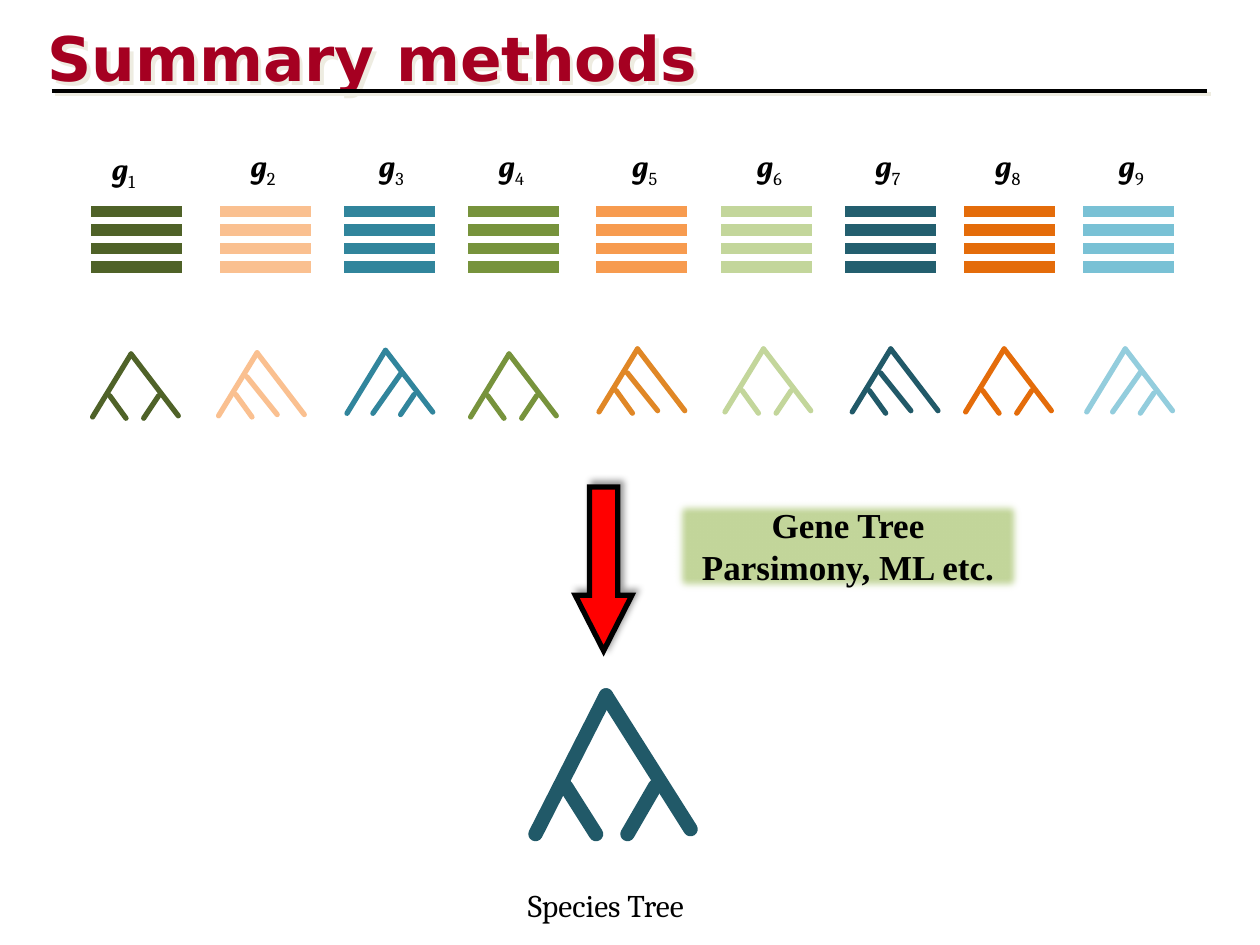
from dataclasses import dataclass
from lxml.etree import SubElement
from pptx import Presentation
from pptx.dml.color import RGBColor
from pptx.enum.shapes import MSO_CONNECTOR, MSO_SHAPE
from pptx.enum.text import MSO_ANCHOR, MSO_AUTO_SIZE, PP_ALIGN
from pptx.oxml import parse_xml
from pptx.oxml.ns import nsdecls, qn
from pptx.util import Pt


@dataclass(frozen=True)
class Theme:
    black: str = "000000"
    white: str = "FFFFFF"
    title: str = "A50021"
    title_shadow: str = "EEECE1"
    arrow: str = "FF0000"
    method: str = "C3D69B"
    species: str = "215968"
    title_size: float = 35.1
    method_size: float = 20
    label_size: float = 18


theme = Theme()
deck = Presentation()
deck.slide_width, deck.slide_height = Pt(720), Pt(540)
page = deck.slides.add_slide(deck.slide_layouts[6])


def add_text(left, top, width, height, pieces):
    box = page.shapes.add_textbox(Pt(left), Pt(top), Pt(width), Pt(height))
    frame = box.text_frame
    frame.word_wrap = True
    frame.auto_size = MSO_AUTO_SIZE.SHAPE_TO_FIT_TEXT
    for text, size, color, formats in pieces:
        span = frame.paragraphs[0].add_run()
        span.text = text
        span.font.size = Pt(size)
        span.font.color.rgb = RGBColor.from_string(color)
        for name, value in formats.items():
            setattr(span.font, name, value)
    return box


def add_line(shapes, start, end, color, weight, cap="rnd"):
    line = shapes.add_connector(
        MSO_CONNECTOR.STRAIGHT, Pt(start[0]), Pt(start[1]), Pt(end[0]), Pt(end[1])
    )
    line.line.color.rgb = RGBColor.from_string(color)
    line.line.width = Pt(weight)
    line.line._get_or_add_ln().set("cap", cap)
    SubElement(line._element.spPr, qn("a:effectLst"))
    return line


left_side, right_side = ((0, 0), (-22, 36)), ((0, 0), (27, 35.3))
left_twig, right_twig = ((-12.2, 23.8), (-2.9, 36.7)), ((15.8, 23.8), (7.2, 36.7))
branches = {
    "balanced": [left_side, left_twig, right_side, right_twig],
    "left": [left_side, left_twig, right_side, ((-5.8, 13.7), (11.5, 35.3))],
    "right": [left_side, right_side, ((8.6, 13.5), (-7.2, 36)), ((16.4, 25.2), (8.6, 36.7))],
}
genes = [
    (51.1, "4F6228", 56.9, "balanced", "4F6228", (74.9, 202.3)),
    (124.6, "FAC090", 136.1, "left", "FAC090", (146.9, 201.6)),
    (195.8, "31859C", 209.5, "right", "31859C", (220.3, 200.2)),
    (266.4, "77933C", 277.9, "balanced", "77933C", (290.9, 202.3)),
    (339.8, "F79B4F", 354.2, "left", "E08726", (364.3, 199.4)),
    (411.1, "C3D69B", 425.5, "balanced", "C3D69B", (436.3, 199.4)),
    (481.7, "235F6F", 493.2, "left", "215968", (509, 199.4)),
    (550.1, "E46C0A", 561.6, "balanced", "E46C0A", (573.8, 199.4)),
    (617.8, "79C1D5", 632.2, "right", "93CDDD", (643, 199.4)),
]

for number, (bar_left, bar_color, label_left, form, tree_color, apex) in enumerate(genes, 1):
    alignment = page.shapes.add_group_shape()
    for row in range(4):
        bar = alignment.shapes.add_shape(
            MSO_SHAPE.RECTANGLE, Pt(bar_left), Pt(116.7 + 10.5 * row), Pt(54), Pt(8.6)
        )
        bar.shadow.inherit = False
        bar.fill.solid()
        bar.fill.fore_color.rgb = RGBColor.from_string(bar_color)
        bar.line.color.rgb = RGBColor.from_string(theme.white)
        bar.line.width = Pt(2)

    first = number == 1
    label = add_text(label_left, 81.4 if first else 79.9, 42.5 if first else 33.8, 28.8, [
        ("g", theme.label_size, theme.black, {"name": "Vollkorn", "bold": True, "italic": True}),
        (str(number), theme.label_size, theme.black, {"name": "Cambria"}),
    ])
    label.text_frame.paragraphs[0].runs[1].font._element.set("baseline", "-25000")

    tree = page.shapes.add_group_shape()
    for branch in branches[form]:
        start, end = [(apex[0] + x, apex[1] + y) for x, y in branch]
        add_line(tree.shapes, start, end, tree_color, 3)

species_tree = page.shapes.add_group_shape()
for start, end in [
    ((306, 476.6), (346.3, 397.4)),
    ((323.3, 449.3), (340.6, 476.6)),
    ((346.3, 397.4), (394.6, 473.8)),
    ((374.4, 449.3), (358.6, 476.6)),
]:
    add_line(species_tree.shapes, start, end, theme.species, 8.25)

title = add_text(20.2, 6.5, 649.4, 48.2, [
    ("Summary methods", theme.title_size, theme.title, {"name": "DejaVu Sans", "bold": True}),
])
for name, value in {
    "auto_size": MSO_AUTO_SIZE.NONE,
    "vertical_anchor": MSO_ANCHOR.BOTTOM,
    "margin_bottom": Pt(1),
}.items():
    setattr(title.text_frame, name, value)
rule = add_line(page.shapes, (29.5, 51.8), (689.8, 51.8), theme.black, 2.25, "flat")

arrow = page.shapes.add_shape(MSO_SHAPE.RIGHT_ARROW, Pt(298.1), Pt(308.9), Pt(93.6), Pt(32.4))
arrow.rotation = 90
arrow.adjustments[0], arrow.adjustments[1] = 0.5, 0.98
arrow.fill.solid()
arrow.fill.fore_color.rgb = RGBColor.from_string(theme.arrow)
arrow.line.color.rgb = RGBColor.from_string(theme.black)
arrow.line.width = Pt(3)
SubElement(arrow.line._get_or_add_ln(), qn("a:miter"), lim="800000")

for shape, color, alpha, blur, distance, angle in [
    (title, theme.title_shadow, 100, 0, 2.8, 45),
    (rule, theme.title_shadow, 100, 0, 2.8, 45),
    (arrow, theme.black, 40, 4, 3, 315),
]:
    shape.shadow.inherit = False
    shape._element.spPr.find(qn("a:effectLst")).append(parse_xml(
        f'<a:outerShdw {nsdecls("a")} blurRad="{Pt(blur)}" dist="{Pt(distance)}" '
        f'dir="{angle * 60000}" algn="ctr" rotWithShape="0"><a:srgbClr val="{color}">'
        f'<a:alpha val="{alpha * 1000}"/></a:srgbClr></a:outerShdw>'
    ))

method = add_text(383.8, 284.4, 201.6, 55.4, [
    ("Gene Tree Parsimony, ML etc.", theme.method_size, theme.black,
     {"name": "Times New Roman", "bold": True}),
])
method.text_frame.paragraphs[0].alignment = PP_ALIGN.CENTER
method.fill.solid()
method.fill.fore_color.rgb = RGBColor.from_string(theme.method)
method.shadow.inherit = False
SubElement(method._element.spPr.find(qn("a:effectLst")), qn("a:softEdge"), rad=str(Pt(5)))

add_text(294.5, 502.6, 144.7, 28.8, [
    ("Species Tree", theme.label_size, theme.black, {"name": "Cambria"}),
])

deck.save("out.pptx")
